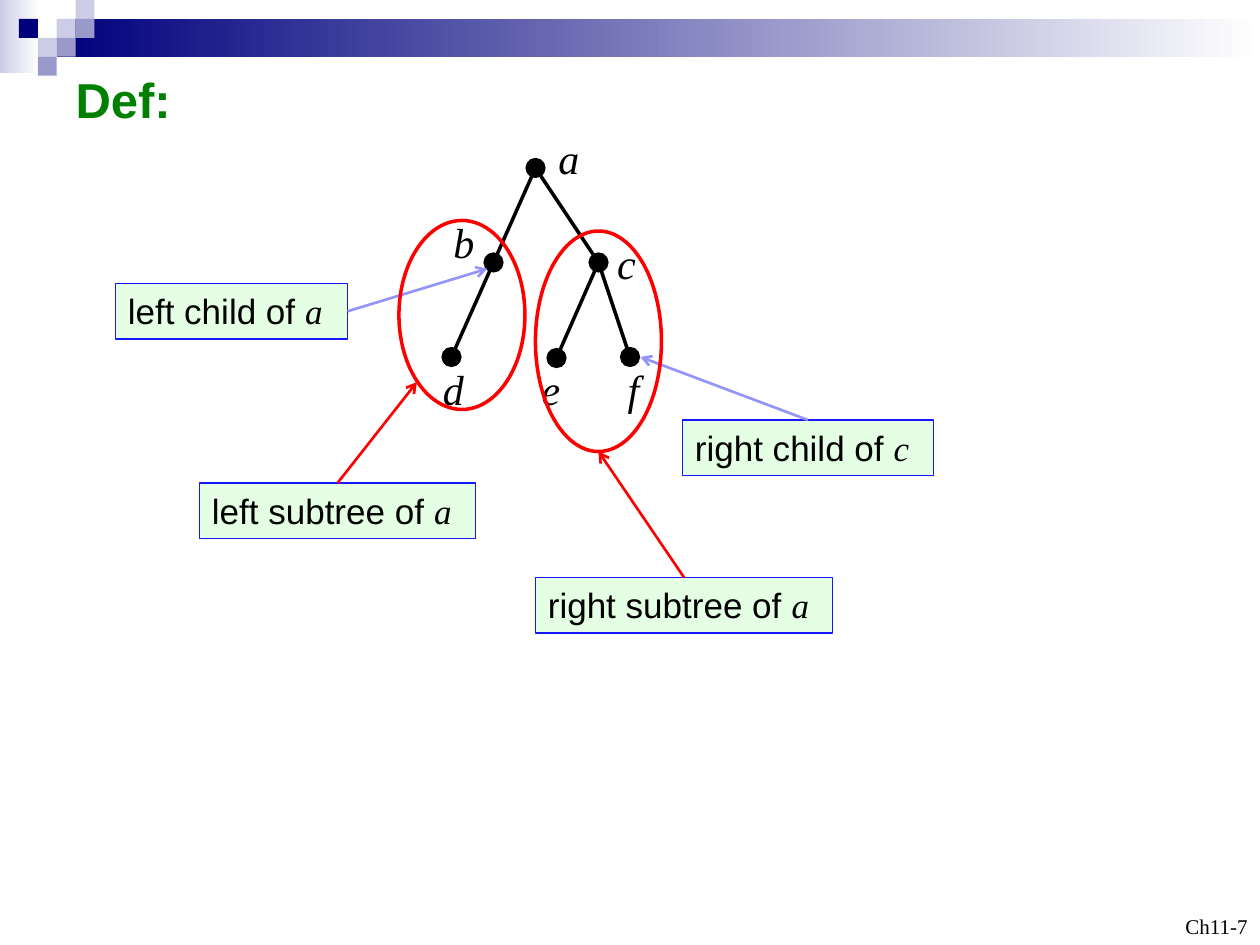
from lxml.etree import SubElement as Sub
from pptx import Presentation
from pptx.dml.color import RGBColor as RGB
from pptx.enum.shapes import MSO_CONNECTOR as Link, MSO_SHAPE as Kind
from pptx.enum.text import MSO_ANCHOR as Anchor, MSO_AUTO_SIZE as Auto, PP_ALIGN as Align
from pptx.oxml.ns import qn
from pptx.util import Inches, Pt

BLACK = RGB(0, 0, 0)
WHITE = RGB(255, 255, 255)
NAVY = RGB(0, 0, 0x7D)
PALE = RGB(0xCC, 0xCC, 0xE6)
LILAC = RGB(0x99, 0x99, 0xCC)
GREEN = RGB(0, 0x80, 0)
MINT = RGB(0xCC, 0xFF, 0xCC)
BLUE = RGB(0x18, 0x18, 0xFF)
SKY = RGB(0x93, 0x93, 0xFC)
RED = RGB(255, 0, 0)

SANS, SERIF = "Arial", "Times New Roman"
HEAD = {"name": SANS, "size": Pt(28), "bold": True}
NAME = {"name": SERIF, "size": Pt(24), "italic": True}
TEXT = {"name": SANS, "size": Pt(20)}
TERM = {"name": SERIF, "size": Pt(20), "italic": True}
FOOT = {"name": SERIF, "size": Pt(12)}

TILE = 1.8
TOP, RIGHT = 0, 3
TILES = [(3, 1, PALE), (4, 0, PALE), (4, 1, LILAC), (2, 2, PALE),
         (1, 1, NAVY), (3, 2, LILAC), (2, 3, LILAC)]
NODES = {"a": (51, 16), "b": (47, 25), "c": (57, 25),
         "d": (43, 34), "e": (53, 34.1), "f": (60, 34)}
EDGES = ["ac", "ab", "ce", "cf", "bd"]
NAMES = {"a": (52, 12, 4.4), "b": (42, 20, 4.4), "c": (57.6, 22, 4.2),
         "d": (41, 34, 4.4), "e": (50.4, 34, 4.2), "f": (58.6, 34, 3.6)}
NOTES = [("left child of ", "a", (11, 27, 22.1), RIGHT, (46.4, 25.6), SKY),
         ("right child of ", "c", (65, 40, 23.9), TOP, (61, 34), SKY),
         ("right subtree of ", "a", (51, 55, 28.3), TOP, (57, 43), RED),
         ("left subtree of ", "a", (19, 46, 26.3), TOP, (39.7, 36.4), RED)]
RINGS = [(51, 22, 12, 21), (38, 21, 12, 18)]


class Board:
    """Draws styled elements on a slide laid out in 120 columns by 90 rows."""

    def __init__(self, deck):
        self.cell = deck.slide_width / 120
        self.slide = deck.slides.add_slide(deck.slide_layouts[5])
        self.shapes = self.slide.shapes

    def span(self, *cells):
        return [round(n * self.cell) for n in cells]

    def words(self, shape, runs, color=BLACK, align=Align.LEFT, anchor=Anchor.TOP):
        frame = shape.text_frame
        form = {"word_wrap": True, "auto_size": Auto.NONE, "vertical_anchor": anchor}
        for key, val in form.items():
            setattr(frame, key, val)
        para = frame.paragraphs[0]
        para.alignment = align
        for text, style in runs:
            run = para.add_run()
            run.text = text
            run.font.color.rgb = color
            for key, val in style.items():
                setattr(run.font, key, val)

    def title(self, text, area):
        shape = self.shapes.title
        for key, val in zip(("left", "top", "width", "height"), self.span(*area)):
            setattr(shape, key, val)
        self.words(shape, [(text, HEAD)], GREEN)

    def label(self, text, area, style, **place):
        self.words(self.shapes.add_textbox(*self.span(*area)), [(text, style)], **place)

    def form(self, kind, area, fill=None, line=None, width=0.75):
        shape = self.shapes.add_shape(kind, *self.span(*area))
        shape.shadow.inherit = False
        if fill is None:
            shape.fill.background()
        else:
            shape.fill.solid()
            shape.fill.fore_color.rgb = fill
        if line is None:
            shape.line.fill.background()
        else:
            shape.line.color.rgb = line
            shape.line.width = Pt(width)
        return shape

    def fade(self, area, start):
        fill = self.form(Kind.RECTANGLE, area).fill
        fill.gradient()
        fill.gradient_angle = 0
        for stop, color in zip(fill.gradient_stops, (start, WHITE)):
            stop.color.rgb = color

    def line(self, start, end, color=BLACK, width=2):
        link = self.shapes.add_connector(Link.STRAIGHT, *self.span(*start, *end))
        link.line.color.rgb = color
        link.line.width = Pt(width)
        Sub(link._element.spPr, qn("a:effectLst"))
        return link

    def note(self, text, term, area, side, tip, color):
        box = self.form(Kind.RECTANGLE, (*area, 5.3), MINT, BLUE)
        tint = box._element.spPr.find(qn("a:solidFill"))[0]
        Sub(tint, qn("a:alpha"), val="52000")
        self.words(box, [(text, TEXT), (term, TERM)])
        link = self.line(area[:2], tip, color, 1.5)
        link.begin_connect(box, side)
        Sub(link._element.spPr.find(qn("a:ln")), qn("a:tailEnd"), type="arrow")


def main():
    deck = Presentation()
    deck.slide_width, deck.slide_height = Inches(10), Inches(7.5)
    board = Board(deck)
    board.fade((0, 0, 3.7, 7), PALE)
    board.fade((5.4, TILE, 114.6, 2 * TILE), NAVY)
    for col, row, color in TILES:
        board.form(Kind.RECTANGLE, (col * TILE, row * TILE, TILE, TILE), color)
    board.title("Def:", (6, 6, 13, 6.8))
    for name, area in NAMES.items():
        board.label(name, (*area, 6.1), NAME)
    for start, end in EDGES:
        board.line(NODES[start], NODES[end])
    for x, y in NODES.values():
        board.form(Kind.OVAL, (x - TILE / 2, y - TILE / 2, TILE, TILE), BLACK, BLACK)
    for note in NOTES:
        board.note(*note)
    for area in RINGS:
        board.form(Kind.OVAL, area, line=RED, width=2)
    board.label("Ch11-7", (92, 84, 28, 6), FOOT, align=Align.RIGHT, anchor=Anchor.BOTTOM)
    deck.save("out.pptx")


if __name__ == "__main__":
    main()
